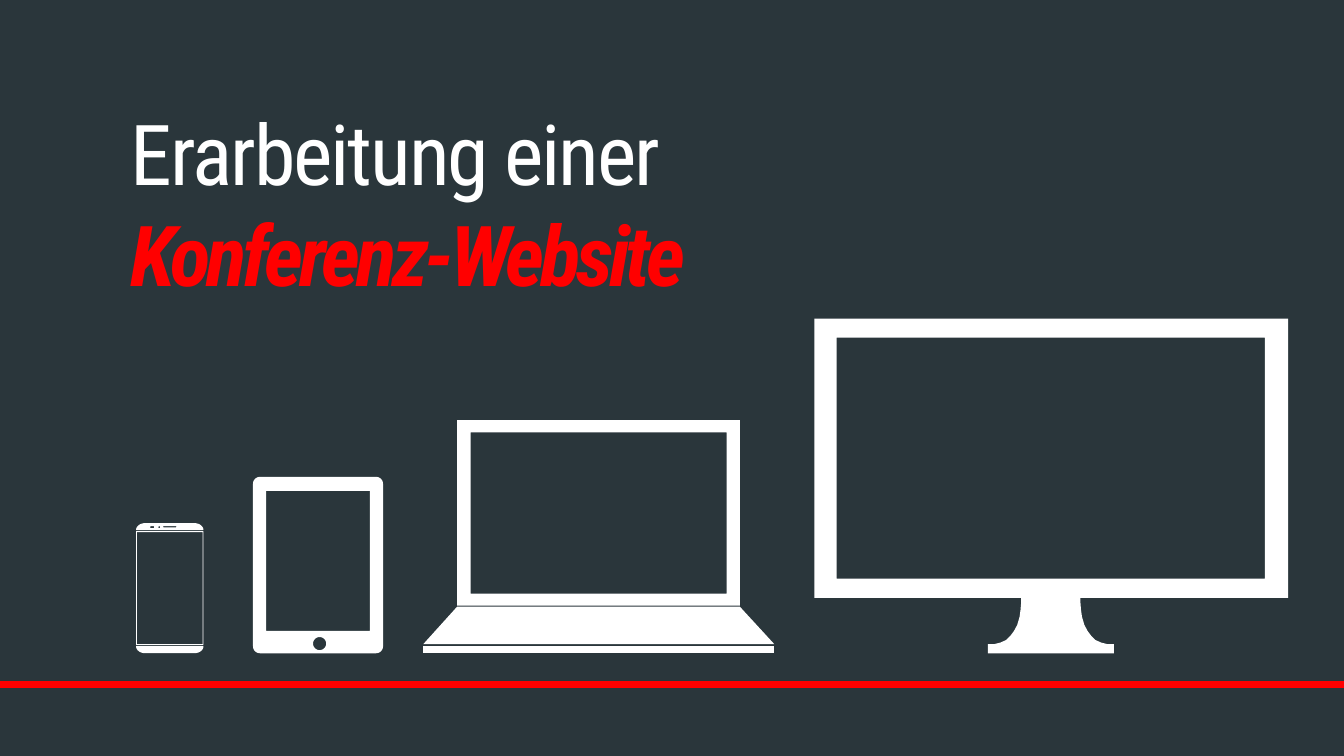
from dataclasses import dataclass
from math import cos, radians, sin

from lxml.etree import SubElement
from pptx import Presentation
from pptx.dml.color import RGBColor
from pptx.enum.shapes import MSO_CONNECTOR
from pptx.enum.text import MSO_ANCHOR, PP_ALIGN
from pptx.oxml.ns import qn
from pptx.util import Pt


@dataclass(frozen=True)
class Theme:
    background: RGBColor = RGBColor(0x2A, 0x36, 0x3B)
    light: RGBColor = RGBColor(0xFF, 0xFF, 0xFF)
    accent: RGBColor = RGBColor(0xFF, 0x00, 0x00)
    font: str = "Roboto Condensed"
    title_size: int = 60
    rule_width: int = 5


THEME = Theme()
SLIDE_WIDTH, SLIDE_HEIGHT = 960, 540
TITLE_BOX = (86.4, 53.3, 731.5, 182.2)
# text, colour, emphasis, letter spacing in hundredths of a point
TITLE_LINES = [
    ("Erarbeitung einer ", THEME.light, False, -150),
    ("Konferenz-Website", THEME.accent, True, -300),
]
RULE_Y = 488.9
GROUND_Y = 466.6

# Half-width of the monitor stand at each height, from the screen down
STAND_CENTER = 750.6
STAND_PROFILE = [
    (21.2, 427), (21.2, 430.6), (21.6, 435.6), (22.3, 440.6), (24, 446.4),
    (26.3, 450.7), (29, 454.3), (32, 457.2), (36, 459), (40.5, 460.1),
    (45, 460.1), (45, GROUND_Y),
]


def rectangle(left, top, right, bottom):
    return [(left, top), (right, top), (right, bottom), (left, bottom)]


def arc(center_x, center_y, radius_x, radius_y, start, end, steps=8):
    """Points along an ellipse; angles in degrees, clockwise from the right."""
    angles = [radians(start + (end - start) * step / steps) for step in range(steps + 1)]
    return [(center_x + radius_x * cos(a), center_y + radius_y * sin(a)) for a in angles]


def rounded(left, top, right, bottom, radius_x, radius_y, upper=True, lower=True):
    """Rectangle outline whose upper and lower corner pairs may be rounded."""
    corners = [
        (left, top, 1, 1, 180, upper), (right, top, -1, 1, 270, upper),
        (right, bottom, -1, -1, 0, lower), (left, bottom, 1, -1, 90, lower),
    ]
    points = []
    for x, y, inward_x, inward_y, start, is_round in corners:
        if is_round:
            points += arc(x + inward_x * radius_x, y + inward_y * radius_y,
                          radius_x, radius_y, start, start + 90)
        else:
            points.append((x, y))
    return points


def circle(center_x, center_y, radius):
    return arc(center_x, center_y, radius, radius, 0, 360, 24)


def monitor_outline():
    left, top, right, bottom = 581.8, 227.5, 920.2, 427
    left_side = [(STAND_CENTER - half, y) for half, y in STAND_PROFILE]
    right_side = [(STAND_CENTER + half, y) for half, y in reversed(STAND_PROFILE)]
    return [(right, top), (left, top), (left, bottom), *left_side, *right_side, (right, bottom)]


# Each device is a list of parts; each part is an outline followed by its holes
MONITOR = [[monitor_outline(), rectangle(597.6, 241.2, 903.6, 413.3)]]
TABLET = [[
    rounded(180.7, 340.6, 273.6, GROUND_Y, 5, 5),
    circle(228.3, 459.7, 4.7),
    rectangle(190.1, 350.6, 264.2, 450.7),
]]
LAPTOP = [
    [rectangle(326.5, 300.2, 528.5, 432.7), rectangle(336.2, 308.9, 519.1, 424.1)],
    [[(302.4, 460.1), (553, 460.1), (528.5, 433.4), (326.5, 433.4)]],
    [rectangle(302.4, 461.5, 553, GROUND_Y)],
]
PHONE = [
    [rectangle(97.2, 379.4, 145.4, 460.8), rectangle(97.9, 380.2, 144.7, 460.1)],
    [rounded(97.2, 461.5, 145.4, GROUND_Y, 6.5, 5, upper=False)],
    [
        rounded(97.2, 373.7, 145.4, 378.7, 6.5, 5, lower=False),
        rounded(107.3, 375.8, 110.2, 377.3, 0.7, 0.7),
        circle(113.8, 376.6, 0.7),
        rounded(116.6, 375.8, 126, 376.8, 0.5, 0.5),
    ],
]
DEVICES = [MONITOR, TABLET, LAPTOP, PHONE]


def add_part(slide, contours):
    outline, *holes = [[(Pt(x), Pt(y)) for x, y in contour] for contour in contours]
    builder = slide.shapes.build_freeform(*outline[0])
    builder.add_line_segments(outline[1:], close=True)
    for hole in holes:
        builder.move_to(*hole[0])
        builder.add_line_segments(hole[1:], close=True)
    shape = builder.convert_to_shape()
    shape.shadow.inherit = False
    shape.fill.solid()
    shape.fill.fore_color.rgb = THEME.light
    shape.line.fill.background()
    return shape


def add_title(slide):
    shape = slide.shapes.add_textbox(*map(Pt, TITLE_BOX))
    shape.fill.solid()
    shape.fill.fore_color.rgb = THEME.background
    frame = shape.text_frame
    frame.word_wrap = True
    frame.vertical_anchor = MSO_ANCHOR.MIDDLE
    paragraph = frame.paragraphs[0]
    paragraph.alignment = PP_ALIGN.LEFT
    paragraph.font.name = THEME.font
    paragraph.font.size = Pt(THEME.title_size)
    for index, (text, color, emphasis, spacing) in enumerate(TITLE_LINES):
        if index:
            paragraph.add_line_break()
        run = paragraph.add_run()
        run.text = text
        run.font.color.rgb = color
        run.font.bold = run.font.italic = emphasis
        run._r.get_or_add_rPr().set("spc", str(spacing))


def add_rule(slide):
    connector = slide.shapes.add_connector(
        MSO_CONNECTOR.STRAIGHT, Pt(SLIDE_WIDTH), Pt(RULE_Y), Pt(0), Pt(RULE_Y))
    connector.line.color.rgb = THEME.accent
    connector.line.width = Pt(THEME.rule_width)
    SubElement(connector._element.spPr, qn("a:effectLst"))


def main():
    presentation = Presentation()
    presentation.slide_width, presentation.slide_height = Pt(SLIDE_WIDTH), Pt(SLIDE_HEIGHT)
    slide = presentation.slides.add_slide(presentation.slide_layouts[6])
    slide.background.fill.solid()
    slide.background.fill.fore_color.rgb = THEME.background
    add_title(slide)
    add_rule(slide)
    for device in DEVICES:
        parts = [add_part(slide, contours) for contours in device]
        if len(parts) > 1:
            slide.shapes.add_group_shape(parts)
    presentation.save("out.pptx")


if __name__ == "__main__":
    main()
